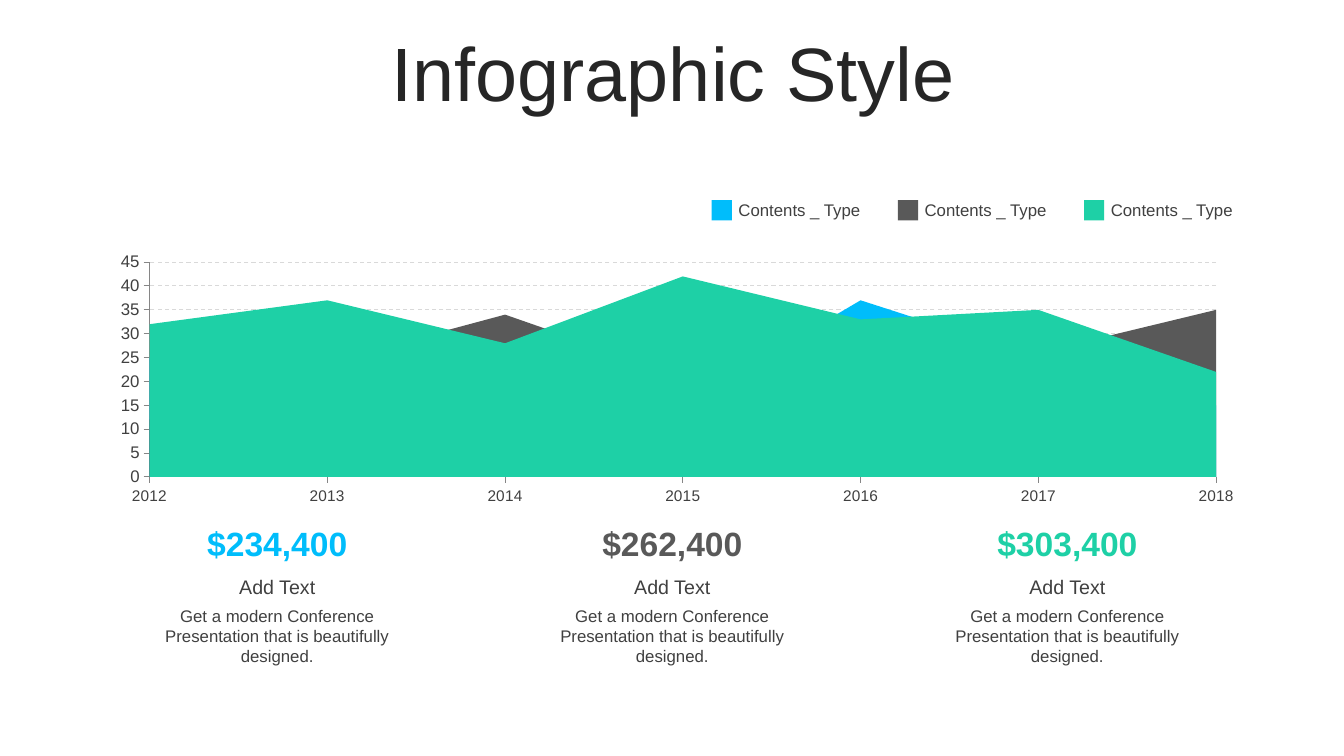
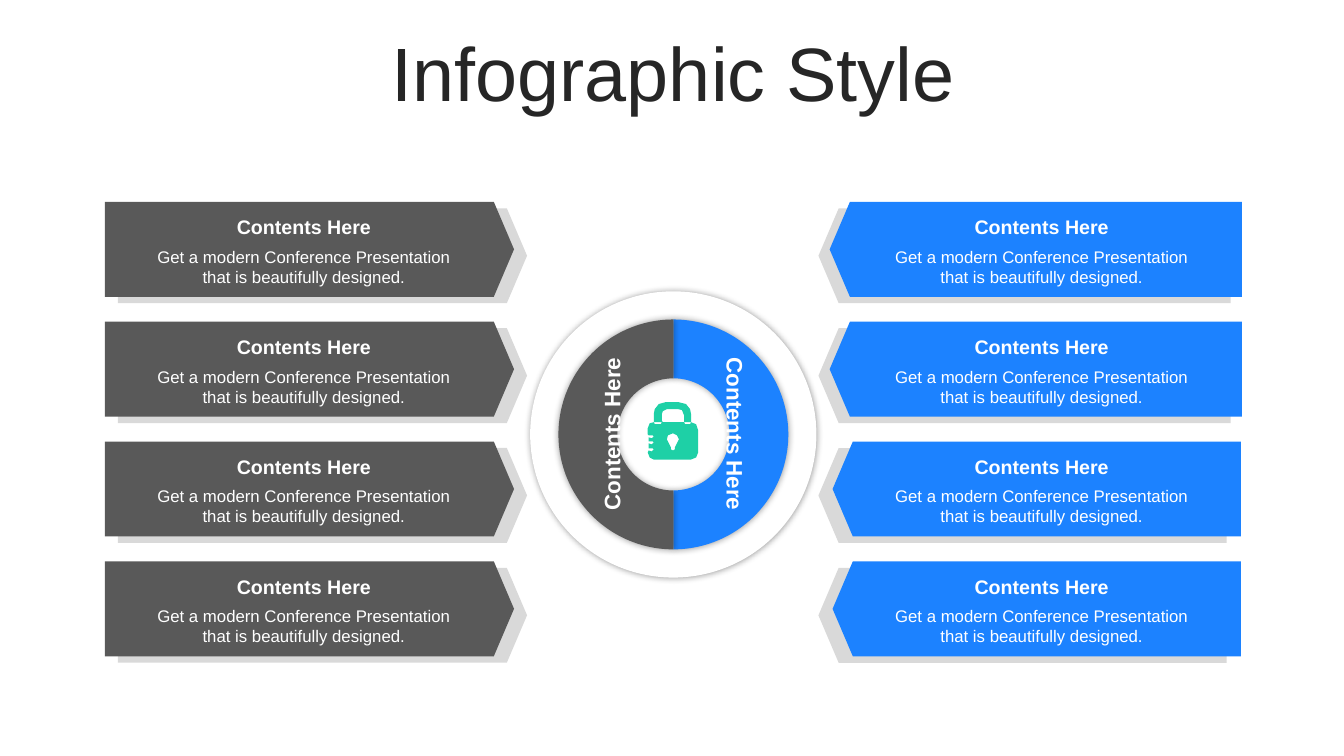
"""Build two infographic slides: an area chart and a ring with plates."""
from dataclasses import dataclass

from lxml import etree
from pptx import Presentation
from pptx import util as u
from pptx.chart.data import CategoryChartData
from pptx.dml.color import RGBColor
from pptx.enum import chart as kinds
from pptx.enum import dml, shapes, text
from pptx.oxml import ns

FONT = "Arial"
INK = RGBColor(0x26, 0x26, 0x26)
TEXT = RGBColor(0x40, 0x40, 0x40)
DARK = RGBColor(0x59, 0x59, 0x59)
AXIS = RGBColor(0x86, 0x86, 0x86)
PALE = RGBColor(0xD9, 0xD9, 0xD9)
WHITE = RGBColor(0xFF, 0xFF, 0xFF)
BLACK = RGBColor(0, 0, 0)
GREEN = RGBColor(0x1E, 0xD0, 0xA6)
SKY = RGBColor(0x00, 0xBD, 0xFB)
BLUE = RGBColor(0x1C, 0x82, 0xFF)

HEAD = "Infographic Style"
BLURB = "Get a modern Conference Presentation that is beautifully designed."
LABEL = "Contents Here"
CENTER = text.PP_ALIGN.CENTER
MIDDLE = text.MSO_ANCHOR.MIDDLE


@dataclass(frozen=True)
class Box:
    """Hold a place and size in points."""

    x: float
    y: float
    w: float
    h: float

    def emu(self) -> list[u.Length]:
        return [u.Pt(n) for n in (self.x, self.y, self.w, self.h)]


@dataclass(frozen=True)
class Line:
    """Hold one styled paragraph."""

    words: str
    size: float
    color: RGBColor
    bold: bool = False
    before: float = 0


@dataclass(frozen=True)
class Series:
    """Hold one chart series."""

    name: str
    vals: tuple[int, ...]
    color: RGBColor


@dataclass(frozen=True)
class Plate:
    """Hold one pointed plate, its shade and the place of its text."""

    x: float
    w: float
    shade: float
    words: float
    color: RGBColor
    turn: int


YEARS = [str(year) for year in range(2012, 2019)]
SERIES = (
    Series("Series 1", (32, 37, 28, 42, 33, 35, 22), GREEN),
    Series("Series 2", (12, 24, 34, 21, 28, 26, 35), DARK),
    Series("Series 3", (25, 19, 19, 15, 37, 25, 15), SKY),
)
SUMS = (("$234,400", SKY), ("$262,400", DARK), ("$303,400", GREEN))
LEFT = Plate(74.9, 292.3, 84.2, 96.5, DARK, 0)
UPPER = Plate(592.6, 294.5, 584.6, 623.5, BLUE, 180)
LOWER = Plate(594.7, 291.6, 584.6, 623.5, BLUE, 180)
ROWS = ((LEFT, UPPER), (LEFT, UPPER), (LEFT, LOWER), (LEFT, LOWER))

NOTCH = [
    point
    for y in (33, 39, 46)
    for point in ((1, y), (5, y), (6, y + 1), (4, y + 3), (1, y + 2))
]
LOCK = (
    [(43, 20), (43, 12), (42, 7), (38, 2), (30, 0), (18, 0), (11, 2), (7, 7),
     (6, 12), (6, 20), (2, 21), (0, 26), (0, 32), *NOTCH, (0, 50), (2, 55),
     (6, 57), (43, 57), (48, 55), (50, 50), (50, 28), (48, 22)],
    [(6, 20), (7, 19.5), (13, 19.5), (14, 20), (13, 22), (7, 22)],
    [(36, 20), (37, 19.5), (42, 19.5), (43, 20), (42, 22), (37, 22)],
    [(29, 41), (27, 45), (27, 47), (25, 48), (23, 47), (23, 45), (21, 41),
     (19, 37), (20, 33), (25, 31), (29, 33), (31, 37)],
    [(15, 20), (14, 18), (14, 12), (15, 9), (19, 7), (30, 7), (34, 8),
     (36, 13), (36, 20)],
)


def style(font, size: float, color: RGBColor, bold: bool = False) -> None:
    """Set the face, size, colour and weight of a font."""
    font.name = FONT
    font.size = u.Pt(size)
    font.color.rgb = color
    font.bold = bold


def start(deck):
    """Add a slide with the shared title."""
    slide = deck.slides.add_slide(deck.slide_layouts[5])
    title = slide.shapes.title
    title.left, title.top, title.width, title.height = Box(
        25.2, 26.6, 911.5, 56.9).emu()
    frame = title.text_frame
    frame.text = HEAD
    frame.auto_size = text.MSO_AUTO_SIZE.NONE
    frame.vertical_anchor = MIDDLE
    para = frame.paragraphs[0]
    para.alignment = CENTER
    para.line_spacing = 0.9
    style(para.runs[0].font, 54, INK)
    return slide


def write(slide, box: Box, lines: list[Line], align=CENTER,
          anchor=text.MSO_ANCHOR.TOP, turn: int = 0) -> None:
    """Add a text box with one paragraph for each line."""
    shape = slide.shapes.add_textbox(*box.emu())
    shape.rotation = turn
    frame = shape.text_frame
    frame.word_wrap = True
    frame.vertical_anchor = anchor
    for i, line in enumerate(lines):
        para = frame.add_paragraph() if i else frame.paragraphs[0]
        para.text = line.words
        para.alignment = align
        if line.before:
            para.space_before = u.Pt(line.before)
        style(para.runs[0].font, line.size, line.color, line.bold)


def paint(shape, color: RGBColor) -> None:
    """Give a shape a flat fill with no line or shadow."""
    shape.shadow.inherit = False
    shape.fill.solid()
    shape.fill.fore_color.rgb = color
    shape.line.fill.background()


def draw(slide, kind, box: Box, color: RGBColor, adjust=(), turn: int = 0):
    """Add a flat preset shape."""
    shape = slide.shapes.add_shape(kind, *box.emu())
    for i, value in enumerate(adjust):
        shape.adjustments[i] = value
    shape.rotation = turn
    paint(shape, color)
    return shape


def glow(shape) -> None:
    """Add a soft black shadow around a shape."""
    effects = shape._element.spPr.find(ns.qn("a:effectLst"))
    outer = etree.SubElement(effects, ns.qn("a:outerShdw"), blurRad=str(u.Pt(5)),
                             dist="0", dir="0", algn="ctr", rotWithShape="0")
    black = etree.SubElement(outer, ns.qn("a:srgbClr"), val=str(BLACK))
    etree.SubElement(black, ns.qn("a:alpha"), val="40000")


def plot(slide) -> None:
    """Add the area chart."""
    data = CategoryChartData()
    data.categories = YEARS
    for item in SERIES:
        data.add_series(item.name, item.vals)
    chart = slide.shapes.add_chart(
        kinds.XL_CHART_TYPE.AREA, *Box(69.8, 177.1, 828, 187.2).emu(), data).chart
    chart.has_title = False
    chart.has_legend = False
    style(chart.font, 18, BLACK)
    for area, item in zip(chart.plots[0].series, SERIES):
        area.format.fill.solid()
        area.format.fill.fore_color.rgb = item.color
        area.format.line.fill.background()
    for axis, size in ((chart.category_axis, 11), (chart.value_axis, 12)):
        axis.major_tick_mark = kinds.XL_TICK_MARK.OUTSIDE
        axis.minor_tick_mark = kinds.XL_TICK_MARK.NONE
        style(axis.tick_labels.font, size, TEXT)
        axis.format.line.color.rgb = AXIS
        axis.format.line.width = u.Pt(0.75)
    chart.category_axis.has_major_gridlines = False
    scale = chart.value_axis
    scale.minimum_scale, scale.maximum_scale, scale.major_unit = 0, 45, 5
    scale.has_major_gridlines = True
    grid = scale.major_gridlines.format.line
    grid.color.rgb = PALE
    grid.width = u.Pt(0.75)
    grid.dash_style = dml.MSO_LINE.DASH


def trend(deck) -> None:
    """Build the slide with the chart, its key and three sums."""
    slide = start(deck)
    plot(slide)
    for i, (total, color) in enumerate(SUMS):
        write(slide, Box(106.6 + 282.2 * i, 370.3, 182.9, 108), [
            Line(total, 24, color, True),
            Line("Add Text", 14, TEXT, before=8.4),
            Line(BLURB, 12, TEXT, before=4.8),
        ])
        x = 508.4 + 133 * i
        draw(slide, shapes.MSO_SHAPE.RECTANGLE, Box(x, 143, 14.4, 14.4), color)
        write(slide, Box(x + 12, 139, 103, 21.8),
              [Line("Contents _ Type", 12, TEXT)], text.PP_ALIGN.LEFT, MIDDLE)


def ring(slide) -> None:
    """Add the disc, its two halves, their labels and the lock."""
    glow(draw(slide, shapes.MSO_SHAPE.OVAL, Box(378.7, 208.1, 204.5, 204.5), WHITE))
    halves = ((BLUE, 162, 54, 525.3, 90), (DARK, 54, 162, 436.7, 270))
    for color, first, last, x, turn in halves:
        glow(draw(slide, shapes.MSO_SHAPE.BLOCK_ARC,
                  Box(398.9, 228.2, 164.2, 164.2), color, (first, last, 0.256)))
    for color, first, last, x, turn in halves:
        write(slide, Box(x - 90, 298, 180, 24), [Line(LABEL, 16, WHITE, True)],
              anchor=MIDDLE, turn=turn)
    pen = slide.shapes.build_freeform(*LOCK[0][0], scale=u.Pt(0.72))
    for i, loop in enumerate(LOCK):
        if i:
            pen.move_to(*loop[0])
        pen.add_line_segments(loop[1:], close=True)
    paint(pen.convert_to_shape(u.Pt(462.7), u.Pt(287.2)), GREEN)


def plates(slide) -> None:
    """Add four rows of pointed plates with their shades and text."""
    for i, row in enumerate(ROWS):
        y = 144.2 + 85.6 * i
        for plate in row:
            for x, drop, color in ((plate.shade, 4.6, PALE), (plate.x, 0, plate.color)):
                draw(slide, shapes.MSO_SHAPE.PENTAGON,
                     Box(x, y + drop, plate.w, 67.8), color, (0.213,), plate.turn)
            write(slide, Box(plate.words, y + 6, 241.2, 59), [
                Line(LABEL, 14, WHITE, True),
                Line(BLURB, 12, WHITE, before=5.4),
            ])


def main() -> None:
    """Build and save the deck."""
    deck = Presentation()
    deck.slide_width, deck.slide_height = u.Pt(960), u.Pt(540)
    trend(deck)
    slide = start(deck)
    plates(slide)
    ring(slide)
    deck.save("out.pptx")


if __name__ == "__main__":
    main()
